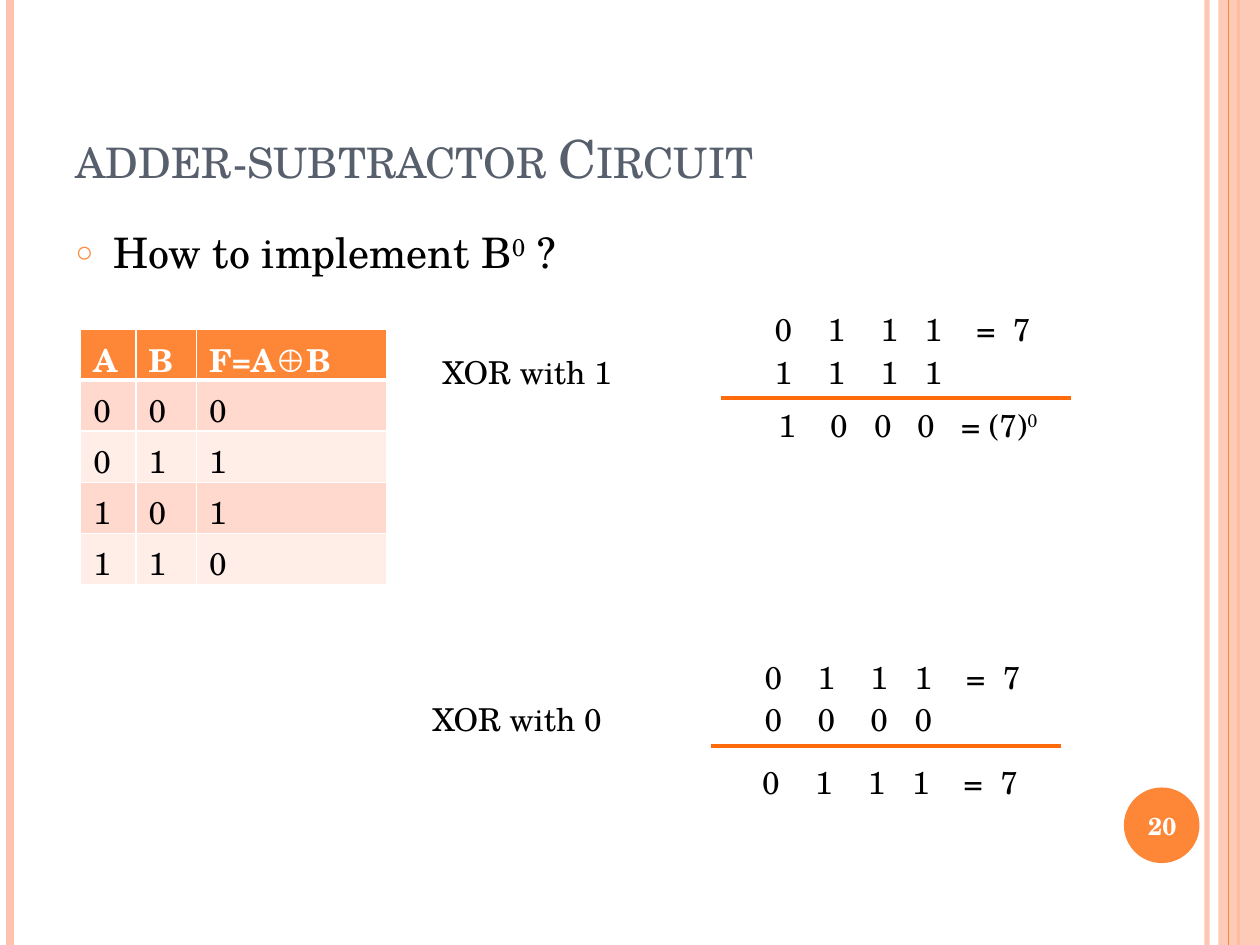
import pptx
import pptx.dml.color
import pptx.enum.shapes
import pptx.enum.text
import pptx.oxml
import pptx.oxml.ns
import pptx.util
from lxml import etree

FONT = "TeX Gyre Schola"
COLOURS = {
    "accent": "FE8637", "pale": "FEC3AE", "rule": "FF6B0A", "title": "575F6D",
    "text": "000000", "white": "FFFFFF", "odd": "FFD9CE", "even": "FFEDE8",
}
COLUMNS, ROWS = 100, 75
CELL = pptx.util.Inches(0.1)
DIGIT_TABS = (4.2, 8.4, 11.9, 16, 18.9)
RESULT_TABS = (4.1, 7.6, 11, 14.5)


def grid(*lengths):
    """Turn grid columns or rows into slide lengths."""
    return [round(length * CELL) for length in lengths]


def colour(name):
    """Return a palette colour."""
    return pptx.dml.color.RGBColor.from_string(COLOURS[name])


def add_element(parent, tag, **attributes):
    """Append a DrawingML element to a parent."""
    element = etree.SubElement(parent, pptx.oxml.ns.qn(tag))
    for key, value in attributes.items():
        element.set(key, str(value))
    return element


def set_opacity(fill_parent, percent):
    """Make the solid fill inside an element partly transparent."""
    solid = next(fill_parent.iter(pptx.oxml.ns.qn("a:solidFill")))
    add_element(solid[0], "a:alpha", val=percent * 1000)


def write(frame, text, size=18, color="text", bold=False, align="LEFT", anchor="TOP",
          small_caps=False, tabs=()):
    """Write one formatted paragraph; parts between carets are superscript."""
    frame.word_wrap = True
    frame.vertical_anchor = getattr(pptx.enum.text.MSO_ANCHOR, anchor)
    paragraph = frame.paragraphs[0]
    paragraph.alignment = getattr(pptx.enum.text.PP_ALIGN, align)
    for index, part in enumerate(text.split("^")):
        run = paragraph.add_run()
        run.text = part
        run.font.name, run.font.size = FONT, pptx.util.Pt(size)
        run.font.bold = bold
        run.font.color.rgb = colour(color)
        properties = run.font._element
        if index % 2:
            properties.set("baseline", "30000")
        if small_caps:
            properties.set("cap", "small")
    if tabs:
        tab_list = add_element(paragraph._p.get_or_add_pPr(), "a:tabLst")
        for position in grid(*tabs):
            add_element(tab_list, "a:tab", pos=position, algn="l")
    return paragraph


def add_text(slide, box, text, **text_format):
    """Add a text box on the grid."""
    shape = slide.shapes.add_textbox(*grid(*box))
    write(shape.text_frame, text, **text_format)


def add_line(slide, start, end, color, width, opacity=100):
    """Add a straight line between two grid points."""
    line = slide.shapes.add_connector(
        pptx.enum.shapes.MSO_CONNECTOR.STRAIGHT, *grid(*start, *end))
    line.line.color.rgb = colour(color)
    line.line.width = pptx.util.Pt(width)
    properties = line._element.spPr
    if opacity < 100:
        set_opacity(properties, opacity)
    add_element(properties, "a:effectLst")


def add_block(slide, kind, box, color, opacity=100):
    """Add a filled shape without outline."""
    shape = slide.shapes.add_shape(
        getattr(pptx.enum.shapes.MSO_SHAPE, kind), *grid(*box))
    shape.shadow.inherit = False
    shape.fill.solid()
    shape.fill.fore_color.rgb = colour(color)
    shape.line.fill.background()
    if opacity < 100:
        set_opacity(shape._element.spPr, opacity)


def add_frame(slide):
    """Draw the side stripes and the numbered disc."""
    add_line(slide, (95.8, 0), (95.8, ROWS), "pale", 3, opacity=93)
    add_line(slide, (0.8, 0), (0.8, ROWS), "pale", 4.5)
    add_line(slide, (98.3, 0), (98.3, ROWS), "accent", 1.5)
    add_block(slide, "RECTANGLE", (96.7, 0, COLUMNS - 96.7, ROWS), "pale", opacity=87)
    add_line(slide, (97.5, 0), (97.5, ROWS), "accent", 0.75)
    add_block(slide, "OVAL", (89.2, 62.5, 6, 6), "accent")
    add_text(slide, (88.9, 62.7, 6.7, 5.7), "20", size=14, color="white",
             bold=True, align="CENTER", anchor="MIDDLE")


def fill_placeholder(shape, box, text, **text_format):
    """Place a template placeholder and write its text."""
    shape.left, shape.top, shape.width, shape.height = grid(*box)
    return write(shape.text_frame, text, **text_format)


def add_bullet(paragraph):
    """Give a paragraph a small ring bullet and a hanging indent."""
    paragraph.space_before = pptx.util.Pt(6)
    properties = paragraph._p.get_or_add_pPr()
    indent = grid(3)[0]
    properties.set("marL", str(indent))
    properties.set("indent", str(-indent))
    add_element(add_element(properties, "a:buClr"), "a:srgbClr", val=COLOURS["accent"])
    add_element(properties, "a:buSzPct", val=70000)
    add_element(properties, "a:buChar", char="○")


def add_borders(cell, bottom):
    """Draw white borders round a table cell."""
    properties = cell._tc.get_or_add_tcPr()
    for side, width in (("L", 1), ("R", 1), ("T", 1), ("B", bottom)):
        border = add_element(properties, f"a:ln{side}", w=pptx.util.Pt(width))
        add_element(add_element(border, "a:solidFill"), "a:srgbClr", val=COLOURS["white"])


def add_truth_table(slide, position, widths, row_height, rows):
    """Add the truth table with a header and alternating row fills."""
    size = (sum(widths), row_height * len(rows))
    table = slide.shapes.add_table(len(rows), len(widths), *grid(*position, *size)).table
    for column, width in zip(table.columns, grid(*widths)):
        column.width = width
    for row_index, values in enumerate(rows):
        header = row_index == 0
        fill = "accent" if header else "odd" if row_index % 2 else "even"
        for column_index, value in enumerate(values):
            cell = table.cell(row_index, column_index)
            add_borders(cell, bottom=3 if header else 1)
            cell.fill.solid()
            cell.fill.fore_color.rgb = colour(fill)
            write(cell.text_frame, value, bold=header, color="white" if header else "text")


def add_sum(slide, left, top, label, operand, result, result_offset, result_tabs):
    """Add a worked XOR: label, two operands, rule and result."""
    add_text(slide, (left, top, 25.5, 4), "0\t1\t1\t1\t=\t7", tabs=DIGIT_TABS)
    add_text(slide, (left, top + 3.4, 24.4, 4), "\t".join(operand * 4), tabs=DIGIT_TABS)
    add_line(slide, (left - 3.3, top + 7.5), (left + 24.5, top + 7.5), "rule", 2.25)
    add_text(slide, (left - 26.35, top + 3.4, 15.8, 4), label)
    across, down = result_offset
    add_text(slide, (left + across, top + down, 25.5, 4), result, tabs=result_tabs)


def main():
    """Build and save the slide."""
    presentation = pptx.Presentation()
    presentation.slide_width, presentation.slide_height = grid(COLUMNS, ROWS)
    slide = presentation.slides.add_slide(presentation.slide_layouts[1])
    add_frame(slide)
    title, body = slide.placeholders
    fill_placeholder(title, (5, 3, 81.7, 12.5), "adder-subtractor Circuit", size=30,
                     color="title", anchor="BOTTOM", small_caps=True)
    add_bullet(fill_placeholder(body, (5, 17.5, 81.7, 7.9),
                                "How to implement B^0^ ?", size=24))
    add_truth_table(slide, (6.4, 26.1), (4.4, 4.8, 15.1), 4.06,
                    [("A", "B", "F=A⊕B"), "000", "011", "101", "110"])
    add_sum(slide, 60.5, 24.1, "XOR with 1", "1", "1\t0\t0\t0\t= (7)^0",
            (0.3, 7.6), RESULT_TABS)
    add_sum(slide, 59.7, 51.7, "XOR with 0", "0", "0\t1\t1\t1\t=\t7",
            (-0.2, 8.4), DIGIT_TABS)
    presentation.save("out.pptx")


if __name__ == "__main__":
    main()
